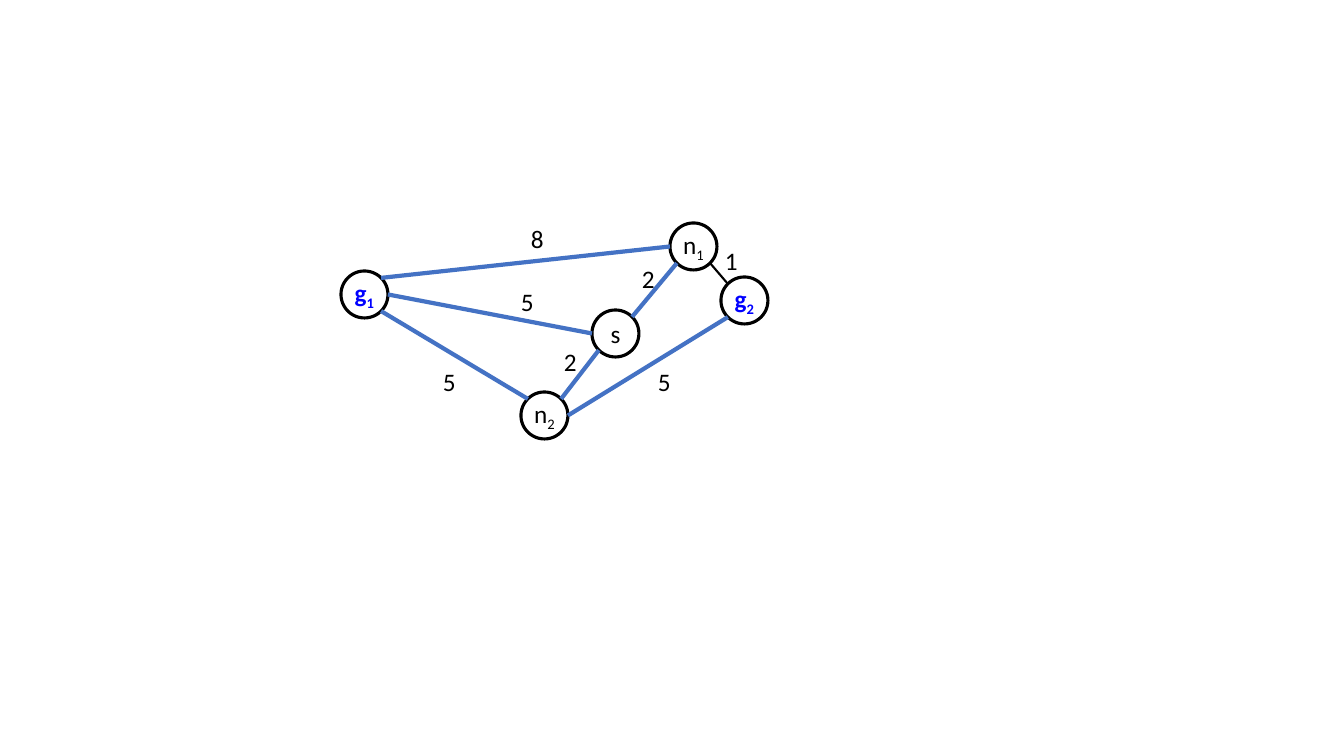
"""Build a slide with a weighted graph of five nodes."""
from dataclasses import dataclass
from math import cos, radians, sin

from lxml import etree
from pptx import Presentation
from pptx.dml.color import RGBColor
from pptx.enum.shapes import MSO_CONNECTOR, MSO_SHAPE
from pptx.enum.text import MSO_ANCHOR, MSO_AUTO_SIZE, PP_ALIGN
from pptx.oxml.ns import qn
from pptx.util import Pt

STRAIGHT = MSO_CONNECTOR.STRAIGHT
ELLIPSE = MSO_SHAPE.OVAL
MIDDLE = MSO_ANCHOR.MIDDLE
GROW = MSO_AUTO_SIZE.SHAPE_TO_FIT_TEXT
CENTER = PP_ALIGN.CENTER

SLIDE_SIZE = (1344, 756)
SCALE = 12192000 / SLIDE_SIZE[0]
NODE_SIZE = 47
LABEL_SIZE = (55, 40)


@dataclass(frozen=True)
class Theme:
    font: str = "Calibri"
    text_size: int = 18
    text: RGBColor = RGBColor(0, 0, 0)
    goal: RGBColor = RGBColor(0, 0, 255)
    node_fill: RGBColor = RGBColor(255, 255, 255)
    edge: RGBColor = RGBColor(0x44, 0x72, 0xC4)
    outline_width: float = 2.25
    edge_width: float = 3
    thin_width: float = 1.5


THEME = Theme()

NODES = {
    "g1": (341, 271),
    "g2": (721, 277),
    "n1": (670, 223),
    "n2": (521, 392),
    "s": (592, 310),
}
ANGLES = {
    "right": 0, "bottom right": 45, "bottom left": 135,
    "left": 180, "top left": 225, "top right": 315,
}
EDGES = [
    ("s", "bottom left", "n2", "top right", "2", (554, 341)),
    ("s", "top right", "n1", "bottom left", "2", (632, 258)),
    ("n1", "left", "g1", "top right", "8", (521, 218)),
    ("g2", "bottom left", "n2", "right", "5", (648, 361)),
    ("g1", "bottom right", "n2", "top left", "5", (433, 361)),
    ("g2", "top left", "n1", "bottom right", "1", (715, 240)),
    ("g1", "right", "s", "left", "5", (511, 281)),
]
THIN_EDGE = {"g2", "n1"}


def emu(*lengths):
    return [round(length * SCALE) for length in lengths]


def add_span(para, text, color, bold=False, subscript=False):
    span = para.add_run()
    span.text = text
    span.font.name = THEME.font
    span.font.size = Pt(THEME.text_size)
    span.font.bold = bold
    span.font.color.rgb = color
    if subscript:
        span.font._element.set("baseline", "-25000")


def add_node(slide, name):
    node = slide.shapes.add_shape(ELLIPSE, *emu(*NODES[name], NODE_SIZE, NODE_SIZE))
    node.shadow.inherit = False
    node.fill.solid()
    node.fill.fore_color.rgb = THEME.node_fill
    node.line.color.rgb = THEME.text
    node.line.width = Pt(THEME.outline_width)
    frame = node.text_frame
    frame.word_wrap = False
    frame.vertical_anchor = MIDDLE
    para = frame.paragraphs[0]
    para.alignment = CENTER
    is_goal = name.startswith("g")
    color = THEME.goal if is_goal else THEME.text
    for character in name:
        add_span(para, character, color, is_goal, character.isdigit())


def rim_point(name, side):
    left, top = NODES[name]
    radius = NODE_SIZE / 2
    angle = radians(ANGLES[side])
    return left + radius * (1 + cos(angle)), top + radius * (1 + sin(angle))


def add_edge(slide, start, start_side, end, end_side):
    ends = emu(*rim_point(start, start_side), *rim_point(end, end_side))
    edge = slide.shapes.add_connector(STRAIGHT, *ends)
    is_thin = {start, end} == THIN_EDGE
    edge.line.color.rgb = THEME.text if is_thin else THEME.edge
    edge.line.width = Pt(THEME.thin_width if is_thin else THEME.edge_width)
    etree.SubElement(edge._element.spPr, qn("a:effectLst"))


def add_weight(slide, weight, position):
    box = slide.shapes.add_textbox(*emu(*position, *LABEL_SIZE))
    box.text_frame.word_wrap = True
    box.text_frame.auto_size = GROW
    add_span(box.text_frame.paragraphs[0], weight, THEME.text)


def main():
    deck = Presentation()
    deck.slide_width, deck.slide_height = emu(*SLIDE_SIZE)
    slide = deck.slides.add_slide(deck.slide_layouts[6])
    for name in NODES:
        add_node(slide, name)
    for start, start_side, end, end_side, weight, position in EDGES:
        add_edge(slide, start, start_side, end, end_side)
        add_weight(slide, weight, position)
    deck.save("out.pptx")


if __name__ == "__main__":
    main()
